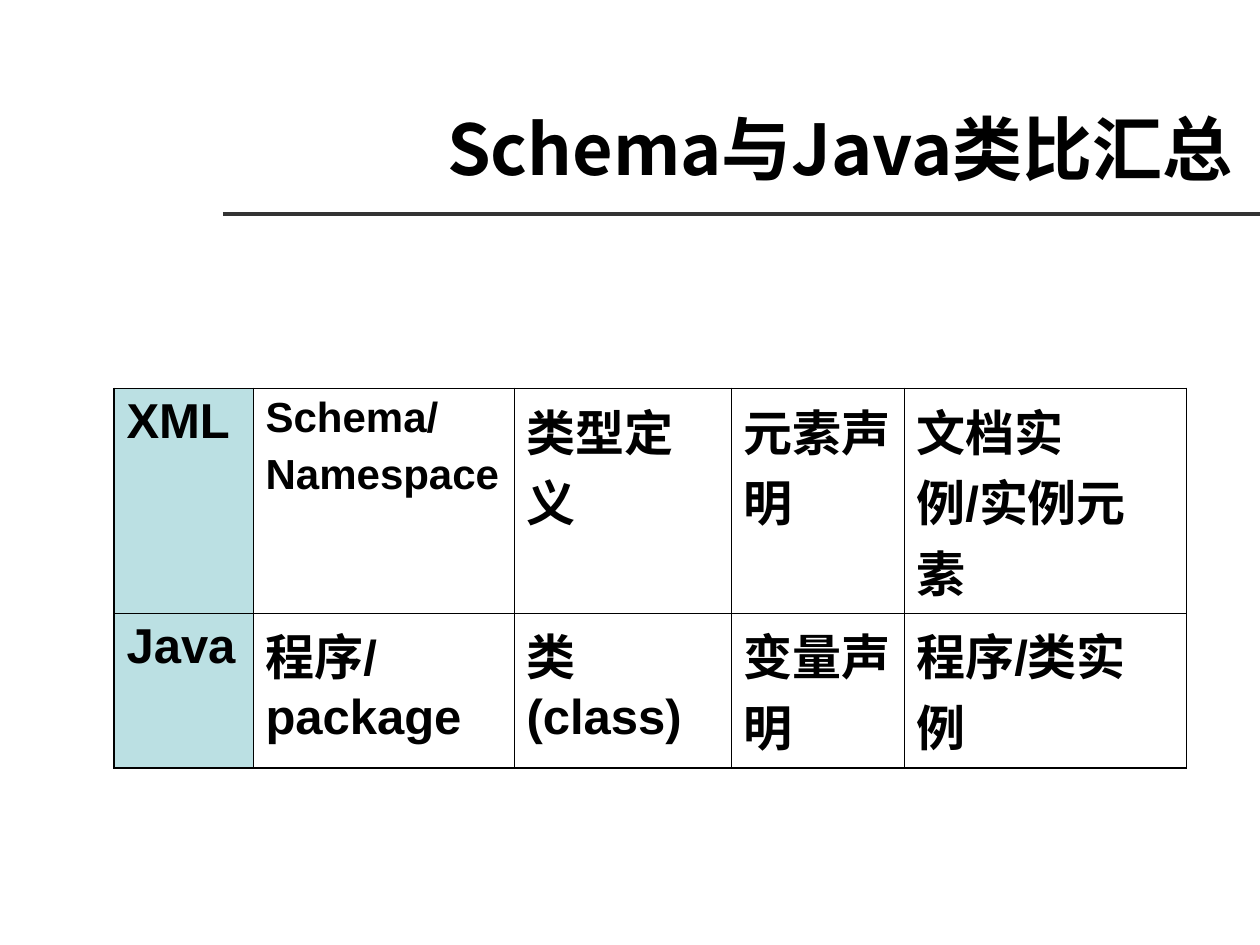
from typing import NamedTuple

from lxml import etree
from pptx import Presentation
from pptx.dml.color import RGBColor
from pptx.enum.shapes import MSO_CONNECTOR
from pptx.enum.text import MSO_ANCHOR, PP_ALIGN
from pptx.oxml.ns import qn
from pptx.util import Emu, Pt

PX_PER_INCH = 126
BLACK = RGBColor(0x00, 0x00, 0x00)
RULE_GREY = RGBColor(0x33, 0x33, 0x33)
HEADER_BLUE = RGBColor(0xBB, 0xE0, 0xE3)
LATIN_FONT = "Arial"
CJK_FONT = "Noto Sans CJK SC"
STRAIGHT = MSO_CONNECTOR.STRAIGHT
MIDDLE = MSO_ANCHOR.MIDDLE
RIGHT = PP_ALIGN.RIGHT
HEAVY_BORDER, LIGHT_BORDER = Pt(1.08), Pt(0.45)


class Entry(NamedTuple):
    text: str
    size: int = 28


COLUMN_WIDTHS = (139, 261, 217, 173, 282)
ROW_HEIGHTS = (225, 155)
COMPARISON = (
    (Entry("XML"), Entry("Schema/\nNamespace", 24), Entry("类型定义"),
     Entry("元素声明"), Entry("文档实例/实例元素")),
    (Entry("Java"), Entry("程序/package"), Entry("类(class)"),
     Entry("变量声明"), Entry("程序/类实例")),
)


def px(length: int) -> Emu:
    return Emu(round(length * 914400 / PX_PER_INCH))


def format_text(frame, size: int, latin: str) -> None:
    for paragraph in frame.paragraphs:
        for run in paragraph.runs:
            font = run.font
            font.size, font.bold, font.name = Pt(size), True, latin
            font.color.rgb = BLACK
            east_asian = etree.SubElement(run._r.get_or_add_rPr(), qn("a:ea"))
            east_asian.set("typeface", CJK_FONT)


def add_border(cell, side: str, width: int) -> None:
    line = etree.SubElement(cell._tc.get_or_add_tcPr(), qn(f"a:ln{side}"), w=str(width))
    fill = etree.SubElement(line, qn("a:solidFill"))
    etree.SubElement(fill, qn("a:srgbClr"), val=str(BLACK))


def add_title(slide, text: str) -> None:
    box = slide.shapes.add_textbox(px(174), px(95), px(1071), px(105))
    frame = box.text_frame
    frame.word_wrap = True
    frame.vertical_anchor = MIDDLE
    frame.text = text
    frame.paragraphs[0].alignment = RIGHT
    format_text(frame, 40, CJK_FONT)


def add_rule(slide) -> None:
    rule = slide.shapes.add_connector(STRAIGHT, px(223), px(214), px(1260), px(214))
    rule.line.color.rgb = RULE_GREY
    rule.line.width = Pt(2.25)
    etree.SubElement(rule._element.spPr, qn("a:effectLst"))


def fill_cell(cell, entry: Entry, row: int, column: int) -> None:
    cell.text_frame.text = entry.text
    for paragraph in cell.text_frame.paragraphs[1:]:
        paragraph.space_before = Pt(6)
    format_text(cell.text_frame, entry.size, LATIN_FONT)

    # The left and bottom edges are heavier than the rest of the grid
    heavy_sides = {"L": column == 0, "R": False, "T": False,
                   "B": row == len(ROW_HEIGHTS) - 1}
    for side, is_heavy in heavy_sides.items():
        add_border(cell, side, HEAVY_BORDER if is_heavy else LIGHT_BORDER)

    if column == 0:
        cell.fill.solid()
        cell.fill.fore_color.rgb = HEADER_BLUE
    else:
        cell.fill.background()


def add_comparison(slide) -> None:
    table = slide.shapes.add_table(
        len(ROW_HEIGHTS), len(COLUMN_WIDTHS), px(114), px(388),
        px(sum(COLUMN_WIDTHS)), px(sum(ROW_HEIGHTS))).table
    table.first_row = table.horz_banding = False
    for column, width in zip(table.columns, COLUMN_WIDTHS):
        column.width = px(width)
    for row, height in zip(table.rows, ROW_HEIGHTS):
        row.height = px(height)
    for r, entries in enumerate(COMPARISON):
        for c, entry in enumerate(entries):
            fill_cell(table.cell(r, c), entry, r, c)


def main() -> None:
    presentation = Presentation()
    presentation.slide_width, presentation.slide_height = px(1260), px(945)
    slide = presentation.slides.add_slide(presentation.slide_layouts[6])

    # Heading
    add_rule(slide)
    add_title(slide, "Schema与Java类比汇总")

    # Schema and Java side by side
    add_comparison(slide)
    presentation.save("out.pptx")


if __name__ == "__main__":
    main()
